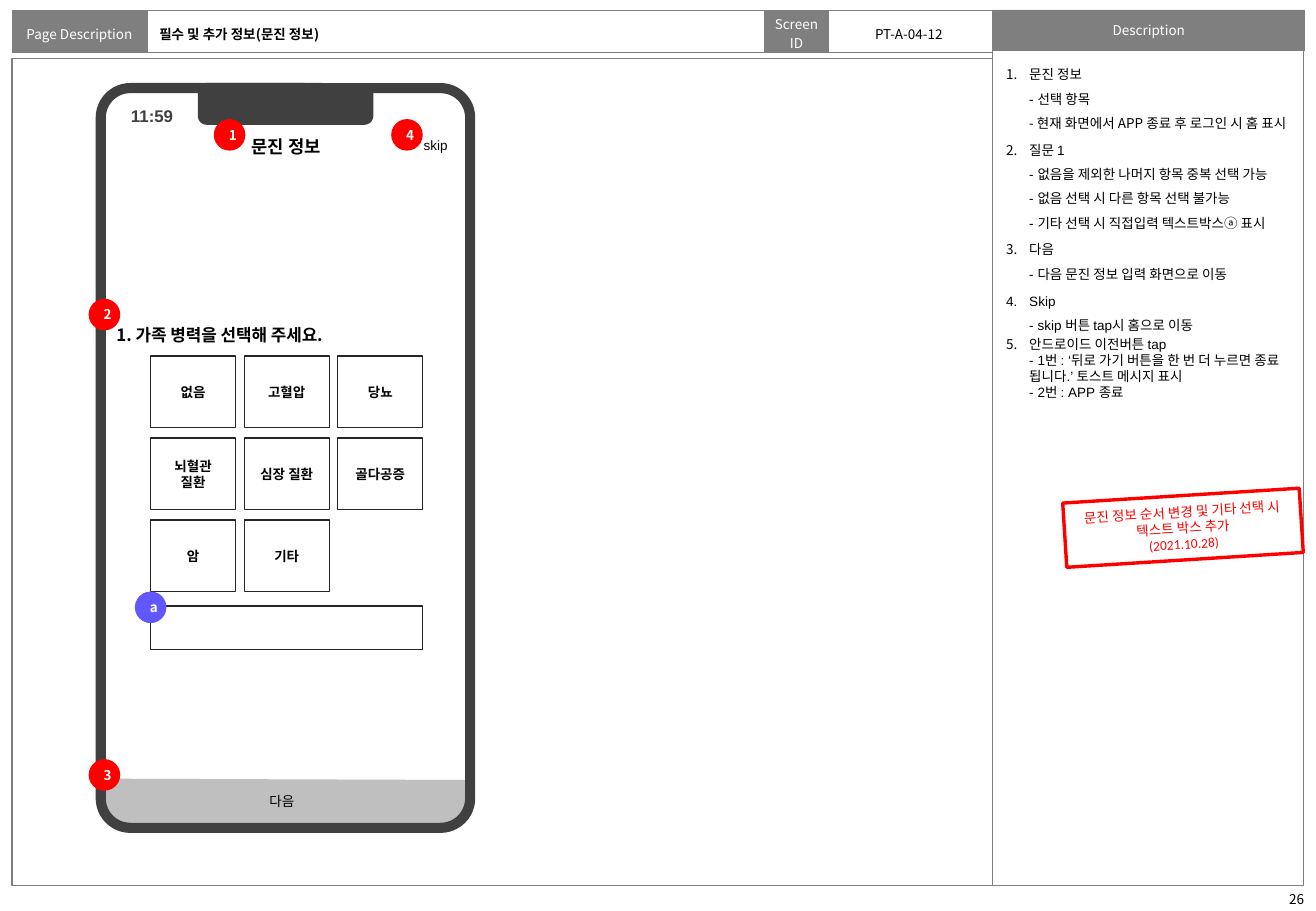
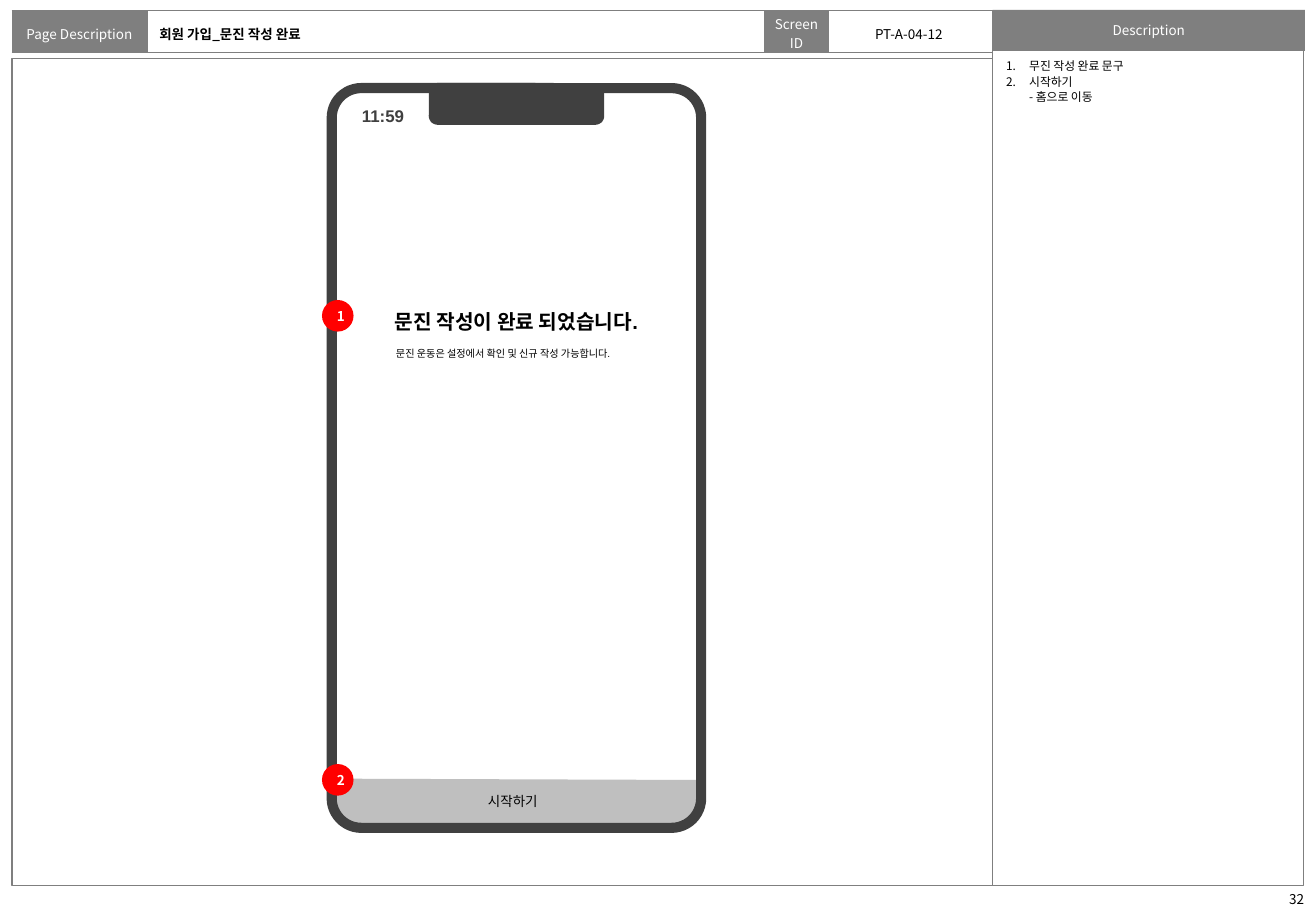
from lxml import etree
from pptx import Presentation
from pptx.dml.color import RGBColor
from pptx.enum.shapes import MSO_SHAPE
from pptx.enum.text import MSO_ANCHOR, MSO_AUTO_SIZE, PP_ALIGN
from pptx.oxml.ns import qn
from pptx.util import Inches, Pt

WIDE, HIGH = Inches(10.83), Inches(7.5)
BLACK = RGBColor(0x00, 0x00, 0x00)
WHITE = RGBColor(0xFF, 0xFF, 0xFF)
GRAY = RGBColor(0x7F, 0x7F, 0x7F)
DARK = RGBColor(0x40, 0x40, 0x40)
INK = RGBColor(0x26, 0x26, 0x26)
PALE = RGBColor(0xBF, 0xBF, 0xBF)
RED = RGBColor(0xFF, 0x00, 0x00)
BLUE = RGBColor(0x60, 0x58, 0xFE)
SANS, ARIAL, PLAIN = "Noto Sans CJK KR", "Arial", "Calibri"
RECT, ROUND, OVAL = MSO_SHAPE.RECTANGLE, MSO_SHAPE.ROUNDED_RECTANGLE, MSO_SHAPE.OVAL
LEFT, MID = PP_ALIGN.LEFT, PP_ALIGN.CENTER
TOP, CENTER = MSO_ANCHOR.TOP, MSO_ANCHOR.MIDDLE
FIXED = MSO_AUTO_SIZE.NONE
PAD = (0.1, 0.05)

HEAD = [(10.25, "Page Description"), (46.91, ""), (4.89, "Screen ID"), (12.47, "")]
BAR = [(0, 0), (1, 0.03), (1, 0.65), (0.98, 0.9), (0.96, 1), (0.06, 1), (0.02, 0.67)]
PICKS = ["없음", "고혈압", "당뇨", "뇌혈관\n질환", "심장 질환", "골다공증", "암", "기타"]
FORM = [
    "문진 정보\n- 선택 항목\n- 현재 화면에서 APP 종료 후 로그인 시 홈 표시",
    "질문 1\n- 없음을 제외한 나머지 항목 중복 선택 가능\n"
    "- 없음 선택 시 다른 항목 선택 불가능\n- 기타 선택 시 직접입력 텍스트박스ⓐ 표시",
    "다음\n- 다음 문진 정보 입력 화면으로 이동",
    "Skip\n- skip 버튼 tap시 홈으로 이동",
    "안드로이드 이전버튼 tap\n- 1번 : ‘뒤로 가기 버튼을 한 번 더 누르면 종료 됩니다.’ 토스트 메시지 표시\n"
    "- 2번 : APP 종료",
]
DONE = ["무진 작성 완료 문구", "시작하기\n- 홈으로 이동"]


def col(share):
    return int(WIDE * share / 100)


def row(share):
    return int(HIGH * share / 100)


def area(x, y, w, h):
    return col(x), row(y), col(w), row(h)


def style(para, size, font, color, bold, align):
    para.alignment = align
    para.font.size = Pt(size)
    para.font.bold = bold
    para.font.name = font
    para.font.color.rgb = color
    latin = para.font._element.find(qn("a:latin"))
    east = etree.Element(qn("a:ea"), typeface=SANS)
    latin.addnext(east)


def write(shape, lines, size=8, font=SANS, color=BLACK, bold=False,
          align=MID, anchor=CENTER, pad=PAD):
    frame = shape.text_frame
    frame.word_wrap = True
    frame.auto_size = FIXED
    frame.vertical_anchor = anchor
    frame.margin_left = frame.margin_right = Inches(pad[0])
    frame.margin_top = frame.margin_bottom = Inches(pad[1])
    for i, line in enumerate(lines):
        para = frame.paragraphs[0] if i == 0 else frame.add_paragraph()
        para.text = line
        style(para, size, font, color, bold, align)
    return frame


def paint(shape, fill=None, line=None, width=0.75):
    shape.shadow.inherit = False
    if fill is None:
        shape.fill.background()
    else:
        shape.fill.solid()
        shape.fill.fore_color.rgb = fill
    if line is None:
        shape.line.fill.background()
    else:
        shape.line.color.rgb = line
        shape.line.width = Pt(width)
    return shape


def block(slide, kind, spot, fill=None, line=None, width=0.75):
    return paint(slide.shapes.add_shape(kind, *area(*spot)), fill, line, width)


def label(slide, spot, text, **look):
    look = {"anchor": TOP, **look}
    return write(slide.shapes.add_textbox(*area(*spot)), [text], **look)


def badge(slide, x, y, text, fill=RED):
    dot = block(slide, OVAL, (x, y, 2.4, 3.47), fill)
    write(dot, [text], color=WHITE, bold=True)


def edge(cell):
    props = cell._tc.get_or_add_tcPr()
    for i, side in enumerate(("lnL", "lnR", "lnT", "lnB")):
        line = etree.Element(qn(f"a:{side}"), w=str(Pt(0.75)))
        fill = etree.SubElement(line, qn("a:solidFill"))
        etree.SubElement(fill, qn("a:srgbClr"), val=str(GRAY))
        props.insert(i, line)


def header(slide):
    frame = slide.shapes.add_table(1, len(HEAD), *area(0.92, 1.2, 74.52, 4.6))
    table = frame.table
    table.first_row = table.horz_banding = False
    for i, (width, text) in enumerate(HEAD):
        table.columns[i].width = col(width)
        cell = table.cell(0, i)
        cell.margin_left = cell.margin_right = Inches(0.04)
        cell.margin_top, cell.margin_bottom = Inches(0.02), 0
        cell.vertical_anchor = CENTER
        if text:
            cell.text = text
            style(cell.text_frame.paragraphs[0], 8, SANS, WHITE, False, MID)
            cell.fill.solid()
            cell.fill.fore_color.rgb = GRAY
        else:
            cell.fill.background()
        edge(cell)


def place(holder, spot):
    holder.left, holder.top, holder.width, holder.height = area(*spot)
    return holder


def indent(para, size):
    props = para._p.get_or_add_pPr()
    props.set("marL", str(Inches(size)))
    props.set("indent", str(-Inches(size)))
    return props


def number(para):
    props = indent(para, 0.19)
    mark = etree.Element(qn("a:buClr"))
    etree.SubElement(mark, qn("a:srgbClr"), val=str(BLACK))
    face = etree.Element(qn("a:buFont"), typeface=SANS)
    auto = etree.Element(qn("a:buAutoNum"), type="arabicPeriod")
    base = props.find(qn("a:defRPr"))
    for part in (mark, face, auto):
        base.addprevious(part)


def listing(holder, items, size, font, loose=0):
    frame = write(holder, items, size, font, align=LEFT, anchor=TOP)
    for i, para in enumerate(frame.paragraphs):
        number(para)
        para.space_before = Pt(1.6 if i else 0)
        para.line_spacing = 1.5 if i < loose else 1.0
    return frame


def page(deck, title, folio):
    slide = deck.slides.add_slide(deck.slide_layouts[3])
    name, code, notes = slide.placeholders
    write(place(name, (11.73, 1.73, 46.26, 4)), [title], bold=True,
          align=LEFT, pad=(0.04, 0.05))
    mark = write(place(code, (63.07, 1.73, 12, 4)), ["PT-A-04-12"]).paragraphs[0]
    mark.space_before = Pt(0)
    props = indent(mark, 0)
    props.find(qn("a:defRPr")).addprevious(etree.Element(qn("a:buNone")))
    place(notes, (75.53, 5.73, 23.2, 92))
    header(slide)
    block(slide, RECT, (0.92, 6.4, 74.52, 90.8), line=GRAY)
    block(slide, RECT, (75.44, 5.2, 23.64, 92), line=GRAY)
    side = block(slide, RECT, (75.44, 1.07, 23.73, 4.53), GRAY)
    write(side, ["Description"], color=WHITE, pad=(0, 0))
    label(slide, (97.05, 97.2, 2.95, 2.67), folio, pad=(0, 0.05))
    return slide, notes


def phone(slide, x, action):
    left, top, width, height = area(x - 0.18, 85.47, 27.89, 5)
    spots = [(int(left + width * u), int(top + height * v)) for u, v in BAR]
    build = slide.shapes.build_freeform(*spots[0])
    build.add_line_segments(spots[1:], close=True)
    write(paint(build.convert_to_shape(), PALE), [action], font=PLAIN)
    body = block(slide, ROUND, (x, 9.67, 28.07, 81.2), line=DARK, width=6)
    body.adjustments[0] = 0.08
    label(slide, (x + 1.39, 10.93, 5.54, 3.6), "11:59", size=10, font=ARIAL,
          color=DARK, bold=True, align=LEFT)
    notch = block(slide, ROUND, (x + 7.76, 9.67, 12.56, 3.47), DARK, DARK, 6)
    notch.adjustments[0] = 0.11


def survey(deck):
    slide, notes = page(deck, "필수 및 추가 정보(문진 정보)", "26")
    frame = listing(notes, FORM, 8, ARIAL, loose=4)
    frame.paragraphs[0].runs[-1].font.name = SANS
    phone(slide, 7.66, "다음")
    label(slide, (11.91, 14.27, 19.67, 3.73), "문진 정보", size=10.5, bold=True)
    for i, text in enumerate(PICKS):
        down, over = divmod(i, 3)
        spot = (11.45 + 7.11 * over, 39.07 + 9 * down, 6.46, 7.87)
        pick = block(slide, RECT, spot, WHITE, INK)
        write(pick, text.split("\n"), bold=True)
    label(slide, (7.94, 35, 21.24, 3.6), "1. 가족 병력을 선택해 주세요.",
          size=10, bold=True, align=LEFT)
    label(slide, (31.12, 14.4, 3.97, 3.2), "skip", font=ARIAL)
    block(slide, RECT, (11.45, 66.53, 20.68, 4.8), WHITE, INK)
    badge(slide, 16.25, 13.07, "1")
    badge(slide, 6.74, 32.8, "2")
    badge(slide, 6.74, 83.33, "3")
    badge(slide, 29.73, 13.07, "4")
    badge(slide, 10.25, 64.93, "a", BLUE)
    stamp = block(slide, RECT, (80.89, 54.4, 18.01, 7.07), WHITE, RED, 2)
    stamp.rotation = -3.6
    write(stamp, ["문진 정보 순서 변경 및 기타 선택 시 텍스트 박스 추가", "(2021.10.28)"],
          font=PLAIN, color=RED)


def finish(deck):
    slide, notes = page(deck, "회원 가입_문진 작성 완료", "32")
    listing(notes, DONE, 7, SANS)
    phone(slide, 25.21, "시작하기")
    label(slide, (27.98, 33.33, 22.53, 4), "문진 작성이 완료 되었습니다.",
          size=12, font=ARIAL, bold=True)
    label(slide, (29.18, 37.47, 20.13, 2.67),
          "문진 운동은 설정에서 확인 및 신규 작성 가능합니다.",
          size=6, font=ARIAL, align=LEFT)
    badge(slide, 24.47, 32.93, "1")
    badge(slide, 24.47, 83.87, "2")


def main():
    deck = Presentation()
    deck.slide_width, deck.slide_height = WIDE, HIGH
    survey(deck)
    finish(deck)
    deck.save("out.pptx")


if __name__ == "__main__":
    main()
